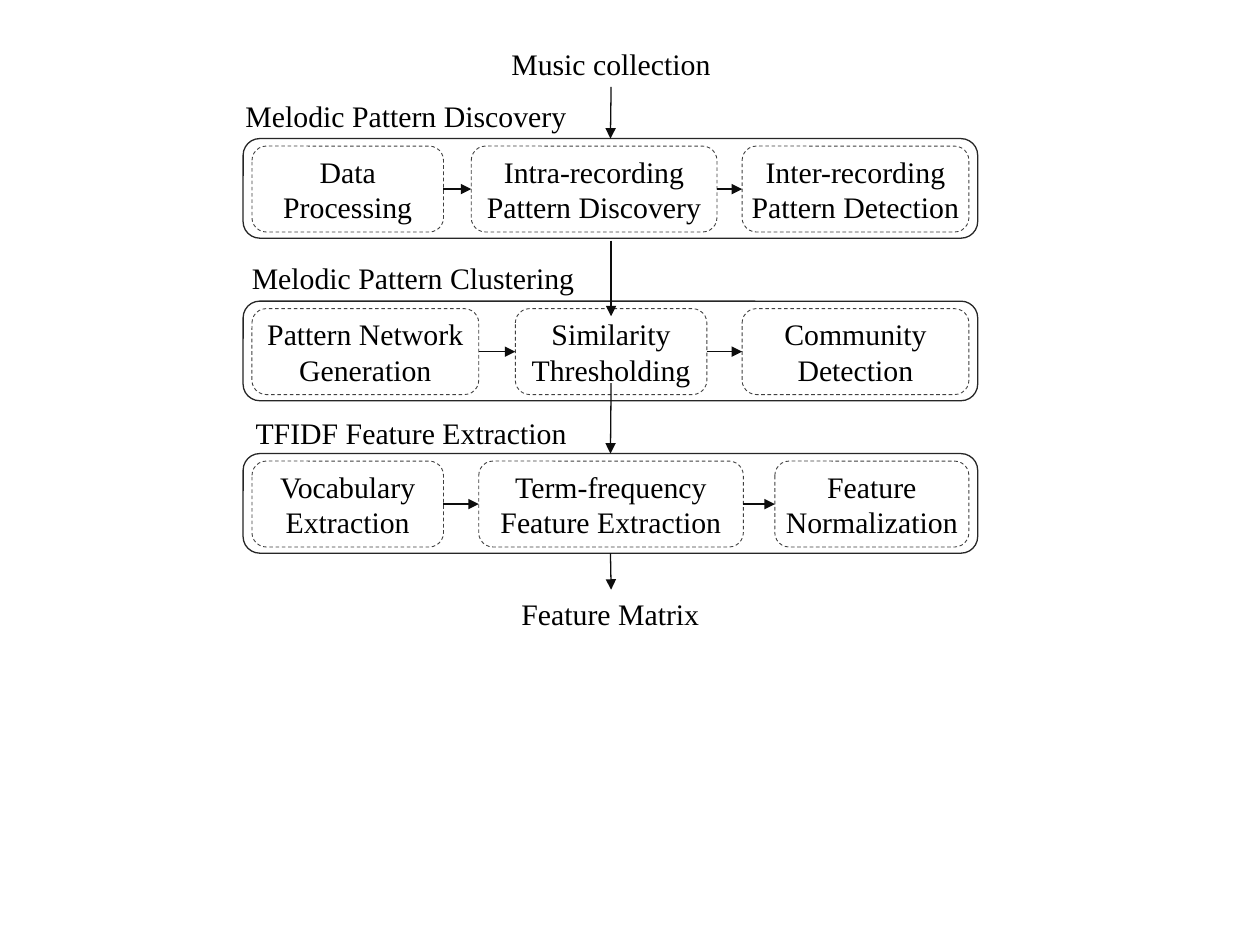
from dataclasses import dataclass

from pptx import Presentation
from pptx.dml.color import RGBColor as RGB
from pptx.enum.dml import MSO_LINE_DASH_STYLE as Dash
from pptx.enum.shapes import MSO_CONNECTOR as Conn, MSO_SHAPE as Shape
from pptx.enum.text import MSO_ANCHOR as Anchor, PP_ALIGN as Align
from pptx.oxml.ns import qn
from pptx.util import Inches, Pt
from lxml.etree import SubElement


@dataclass(frozen=True)
class Theme:
    font: str = "Times New Roman"
    size: float = 17
    text: str = "000000"
    stage: str = "262626"
    step: str = "404040"
    arrow: str = "0D0D0D"
    thick: float = 0.75
    thin: float = 0.5


T = Theme()
TOP, LEFT, BOTTOM, RIGHT = range(4)

# Grid of 100 columns by 75 rows; every length below is in cells
prs = Presentation()
prs.slide_width, prs.slide_height = Inches(10), Inches(7.5)
COL, ROW = prs.slide_width / 100, prs.slide_height / 75

PAD_X, PAD_Y = 0.7, 0.6
STAGE_X, STAGE_W, STAGE_H = 19.3, 58.3, 7.9
AXIS = 48.5

# Title, title column and row, stage row, steps as (text, offset, width)
STAGES = [
    ("Melodic Pattern Discovery", 18.5, 7.3, 11, [
        ("Data Processing", 0.7, 15.2),
        ("Intra-recording Pattern Discovery", 18.1, 19.5),
        ("Inter-recording Pattern Detection", 39.6, 18)]),
    ("Melodic Pattern Clustering", 19, 20.1, 23.9, [
        ("Pattern Network Generation", 0.7, 18),
        ("Similarity Thresholding", 21.6, 15.2),
        ("Community Detection", 39.6, 18)]),
    ("TFIDF Feature Extraction", 19.3, 32.4, 36, [
        ("Vocabulary Extraction", 0.7, 15.2),
        ("Term-frequency\nFeature Extraction", 18.7, 21),
        ("Feature Normalization", 42.2, 15.4)]),
]


def cells(*box):
    return [round(v * unit) for v, unit in zip(box, (COL, ROW) * 2)]


def write(tf, text, size=T.size, color=T.text, align=Align.CENTER):
    tf.word_wrap = True
    for i, line in enumerate(text.split("\n")):
        p = tf.paragraphs[0] if i == 0 else tf.add_paragraph()
        p.alignment = align
        r = p.add_run()
        r.text = line
        r.font.name, r.font.size = T.font, Pt(size)
        r.font.color.rgb = RGB.from_string(color)


def add_label(s, text, x, y, w, **fmt):
    write(s.shapes.add_textbox(*cells(x, y, w, 3.9)).text_frame, text, **fmt)


def add_box(s, box, color, width, dash=None):
    sp = s.shapes.add_shape(Shape.ROUNDED_RECTANGLE, *cells(*box))
    sp.shadow.inherit = False
    sp.fill.background()
    sp.line.color.rgb = RGB.from_string(color)
    sp.line.width = Pt(width)
    if dash:
        sp.line.dash_style = dash
    return sp


def add_arrow(s, start=(0, 0), end=(0, 0), source=None, target=None):
    """Draw an arrow; source and target are (shape, side) joints."""
    c = s.shapes.add_connector(Conn.STRAIGHT, *cells(*start, *end))
    if source:
        c.begin_connect(*source)
    if target:
        c.end_connect(*target)
    c.line.color.rgb = RGB.from_string(T.arrow)
    c.line.width = Pt(T.thick)
    SubElement(c.line._get_or_add_ln(), qn("a:tailEnd"), type="triangle")
    SubElement(c._element.spPr, qn("a:effectLst"))


def add_step(s, text, box):
    sp = add_box(s, box, T.step, T.thin, Dash.DASH)
    tf = sp.text_frame
    tf.margin_left = tf.margin_right = tf.margin_top = tf.margin_bottom = 0
    tf.vertical_anchor = Anchor.MIDDLE
    write(tf, text)
    return sp


def add_stage(s, box, steps):
    """Outer frame with its steps, joined from left to right."""
    x, y, w, h = box
    inner = [add_step(s, text, (x + dx, y + PAD_Y, width, h - 1.8 * PAD_Y))
             for text, dx, width in steps]
    for a, b in zip(inner, inner[1:]):
        add_arrow(s, source=(a, RIGHT), target=(b, LEFT))
    return add_box(s, box, T.stage, T.thick)


def add_flow(s):
    # Input and output
    add_label(s, "Music collection", AXIS - 15.9, 3.1, 31.8)
    add_label(s, "Feature Matrix", AXIS - 17.7, 46.8, 35.3)

    # Stages
    frames = []
    for title, title_x, title_y, y, steps in STAGES:
        add_label(s, title, title_x, title_y, 35.3, align=Align.LEFT)
        frames.append(add_stage(s, (STAGE_X, y, STAGE_W, STAGE_H), steps))
    first, _, last = frames

    # Vertical flow
    add_arrow(s, (AXIS, 6.9), (AXIS, 11), target=(first, TOP))
    add_arrow(s, (AXIS, 19.1), (AXIS, 25.1))
    add_arrow(s, (AXIS, 30.4), (AXIS, 36), target=(last, TOP))
    add_arrow(s, (AXIS, 44), (AXIS, 46.8), source=(last, BOTTOM))


def main():
    s = prs.slides.add_slide(prs.slide_layouts[6])
    add_flow(s)
    prs.save("out.pptx")


if __name__ == "__main__":
    main()
